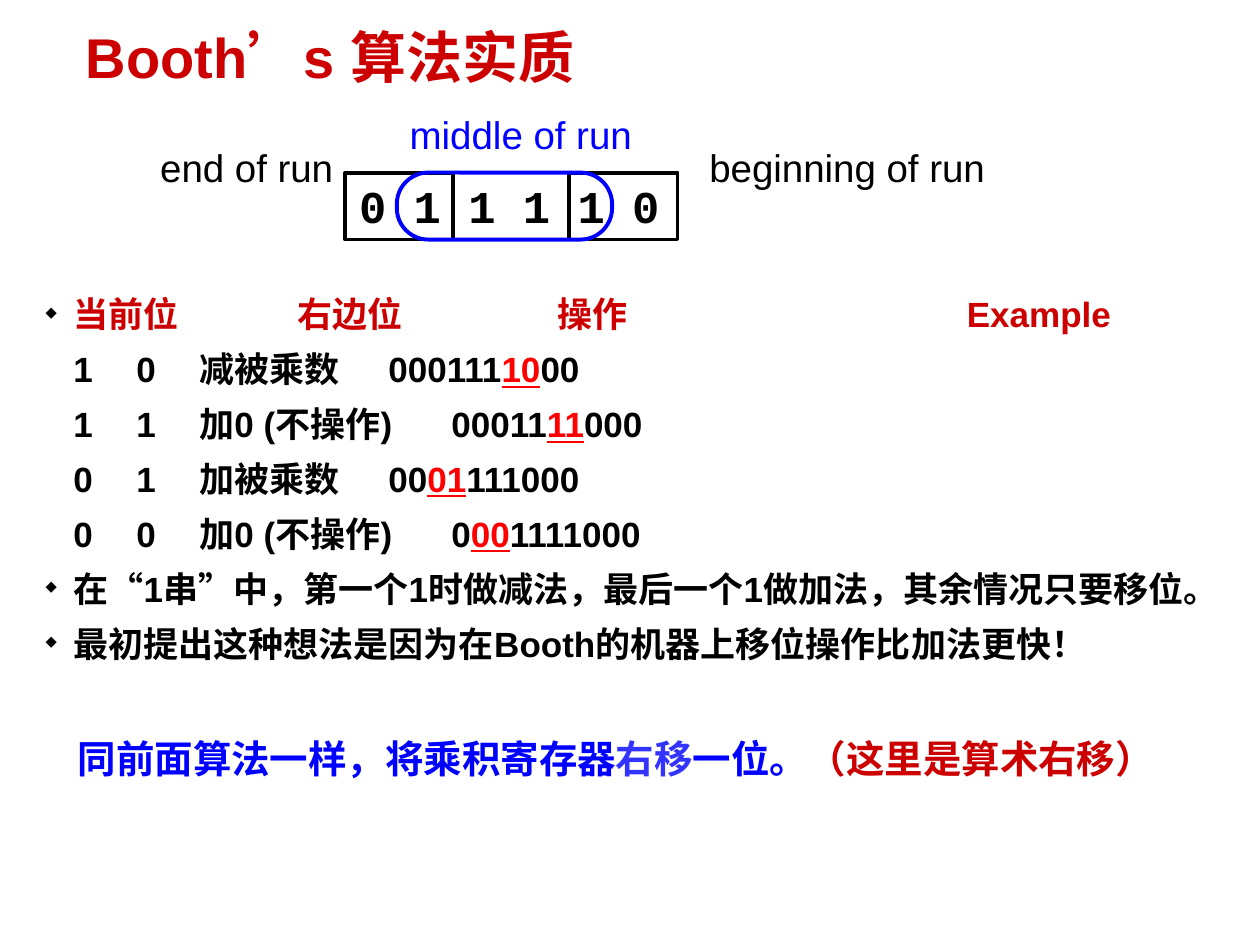
from lxml.etree import SubElement
from pptx import Presentation
from pptx.dml.color import RGBColor
from pptx.enum.shapes import MSO_SHAPE as Shape
from pptx.enum.text import MSO_AUTO_SIZE as AutoSize
from pptx.oxml.ns import qn
from pptx.util import Cm, Pt

BLACK, BLUE, RED = "000000", "0000FF", "CC0000"

# Content: a span is (text, colour)
TITLE = [("Booth’s 算法实质", RED)]
HEADER = "当前位\t右边位\t操作\tExample"
# current bit, right bit, operation, example before / at / after the bit pair
CASES = [
    ("1", "0", "减被乘数", "000111", "10", "00"),
    ("1", "1", "加0 (不操作)", "00011", "11", "000"),
    ("0", "1", "加被乘数", "00", "01", "111000"),
    ("0", "0", "加0 (不操作)", "0", "00", "1111000"),
]
REMARKS = [
    "在“1串”中，第一个1时做减法，最后一个1做加法，其余情况只要移位。",
    "最初提出这种想法是因为在Booth的机器上移位操作比加法更快！",
]
CLOSING = [
    ("同前面算法一样，将乘积寄存器", BLUE),
    ("右移", "3333FF"),
    ("一位。", BLUE),
    ("（这里是算术右移）", RED),
]
RUN_LABELS = [
    ("beginning of run", BLACK, (14.3, 2.9, 5.8, 0.94)),
    ("end of run", BLACK, (3.23, 2.9, 3.7, 0.94)),
    ("middle of run", BLUE, (8.26, 2.24, 4.8, 0.94)),
]

# Layout in centimetres
HANGING = 0.56
HEADER_TABS = [5.08, 10.31, 18.57]
CASE_TABS = [HANGING + 2.54 * step for step in (1, 2, 4)]
BITS_TOP, BITS_HEIGHT = 3.48, 1.35


def color(value):
    return RGBColor.from_string(value)


def add_spans(para, spans, size, bold=True, font="Arial"):
    for text, shade in spans:
        span = para.add_run()
        span.text = text
        span.font.name, span.font.size, span.font.bold = font, Pt(size), bold
        span.font.color.rgb = color(shade)


def add_box(page, place, margins=(0, 0), wrap=False, grow=True):
    box = page.shapes.add_textbox(*map(Cm, place))
    frame = box.text_frame
    frame.margin_left = frame.margin_right = Cm(margins[0])
    frame.margin_top = frame.margin_bottom = Cm(margins[1])
    frame.word_wrap = wrap
    frame.auto_size = AutoSize.SHAPE_TO_FIT_TEXT if grow else AutoSize.NONE
    return frame


def add_outline(page, kind, left, width, shade):
    shape = page.shapes.add_shape(
        kind, Cm(left), Cm(BITS_TOP), Cm(width), Cm(BITS_HEIGHT))
    shape.shadow.inherit = False
    shape.fill.background()
    shape.line.color.rgb = color(shade)
    shape.line.width = Pt(2.25)
    return shape


def format_item(para, bullet):
    """Indent and column tabs, with a small hanging diamond if bulleted."""
    props = para._p.get_or_add_pPr()
    props.set("marL", str(Cm(HANGING)))
    props.set("indent", str(-Cm(HANGING) if bullet else 0))
    if bullet:
        tint = SubElement(props, qn("a:buClr"))
        SubElement(tint, qn("a:srgbClr"), val=BLACK)
        SubElement(props, qn("a:buSzPct"), val="42000")
        SubElement(props, qn("a:buChar"), char="◆")
    else:
        SubElement(props, qn("a:buNone"))
    tabs = SubElement(props, qn("a:tabLst"))
    for stop in HEADER_TABS if bullet else CASE_TABS:
        SubElement(tabs, qn("a:tab"), pos=str(Cm(stop)), algn="l")
    para.line_spacing = 1.1


deck = Presentation()
deck.slide_width, deck.slide_height = Cm(25.4), Cm(19.05)
page = deck.slides.add_slide(deck.slide_layouts[6])

# Title
title = add_box(page, (1.55, 0.56, 12.55, 1.32), (0.18, 0.08), wrap=True)
title.paragraphs[0].line_spacing = 0.87
add_spans(title.paragraphs[0], TITLE, 32)

# Case table and remarks
items = [([(HEADER, RED)], True)]
for *cells, before, pair, after in CASES:
    lead = "\t".join(cells + [before])
    items.append(([(lead, BLACK), (pair, "FF0000"), (after, BLACK)], False))
items += [([(remark, BLACK)], True) for remark in REMARKS]

body = add_box(page, (0.74, 5.74, 24.21, 9.75), (0.18, 0.08), True, False)
for index, (spans, bullet) in enumerate(items):
    para = body.add_paragraph() if index else body.paragraphs[0]
    format_item(para, bullet)
    if index:
        para.space_before = Pt(5)
    add_spans(para, spans, 20)
    if not bullet:
        para.runs[1].font.underline = True

# Closing line
closing = add_box(page, (1.32, 14.68, 22.2, 1.19), (0.25, 0.13))
add_spans(closing.paragraphs[0], CLOSING, 22)

# Bit string with its outer cells and the run of ones
bits = add_box(page, (7.24, 3.58, 6.07, 1.09))
add_spans(bits.paragraphs[0], [("0 1 1 1 1 0", BLACK)], 26, font="Courier New")
for left in (11.48, 6.96):
    add_outline(page, Shape.RECTANGLE, left, 2.18, BLACK)
run_of_ones = add_outline(page, Shape.ROUNDED_RECTANGLE, 8, 4.34, BLUE)
run_of_ones.adjustments[0] = 0.47

for text, shade, place in RUN_LABELS:
    label = add_box(page, place)
    add_spans(label.paragraphs[0], [(text, shade)], 22, bold=False)

deck.save("out.pptx")
